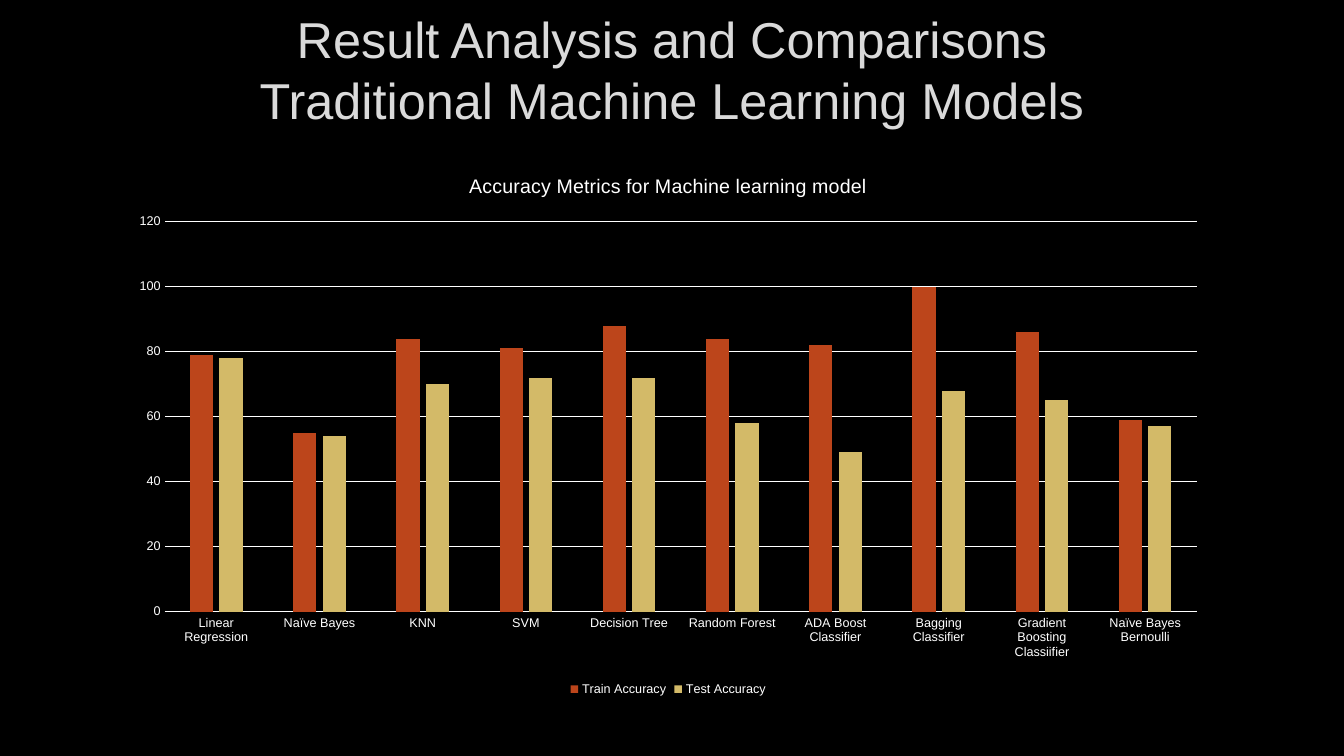
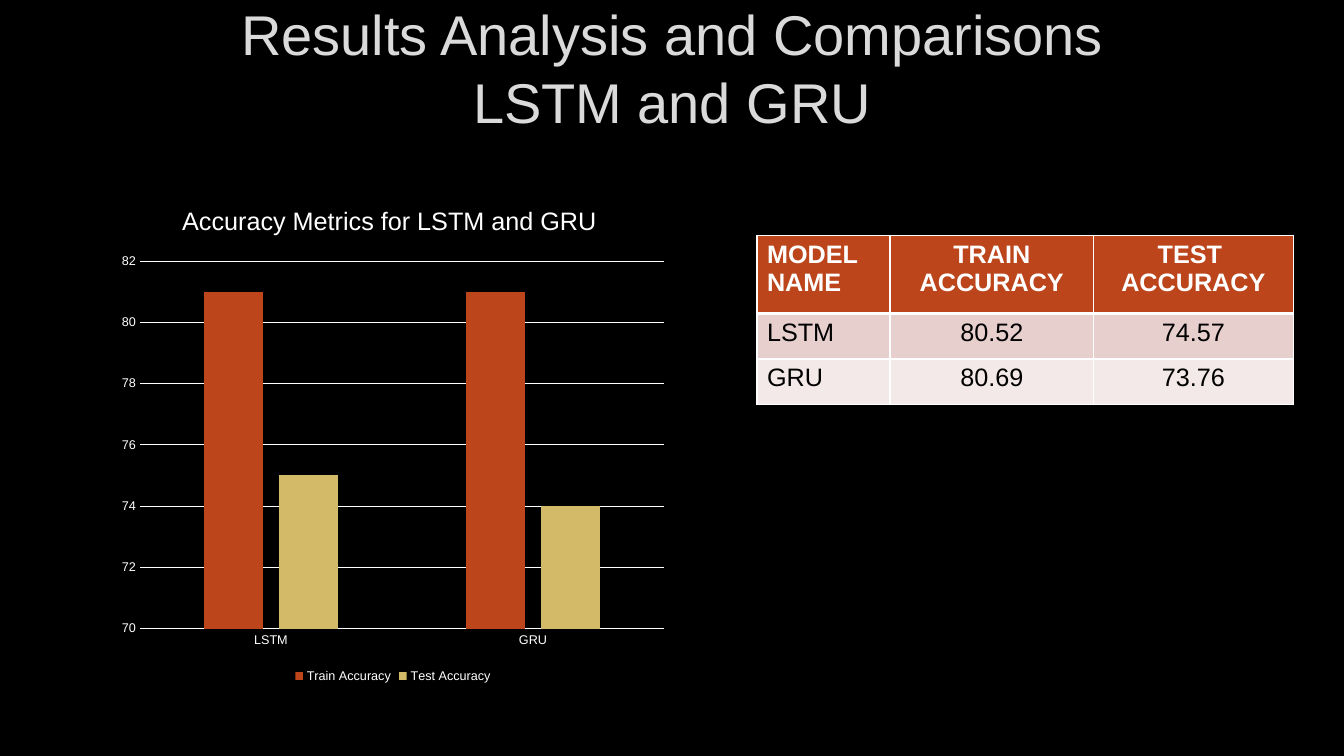
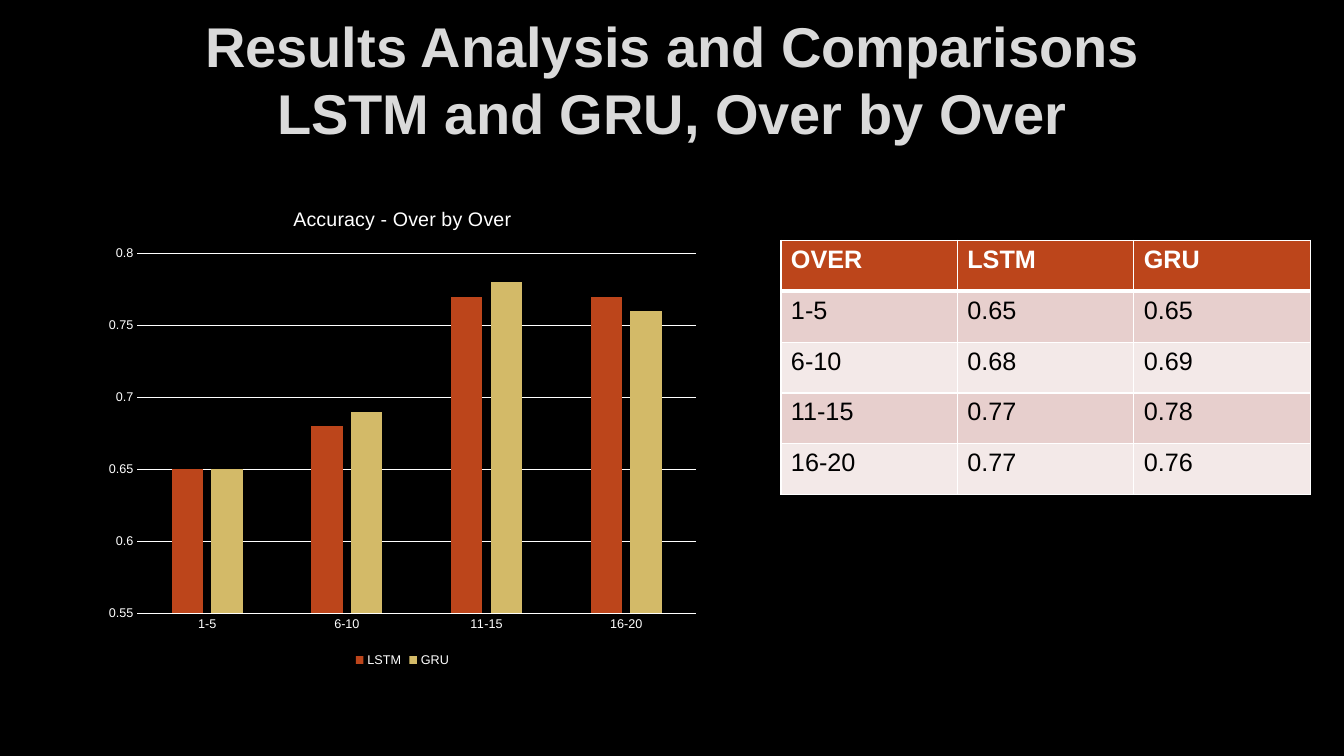
from lxml.etree import SubElement
from pptx import Presentation
from pptx.chart.data import CategoryChartData
from pptx.dml.color import RGBColor
from pptx.enum.chart import XL_CHART_TYPE, XL_LEGEND_POSITION, XL_TICK_MARK
from pptx.enum.text import MSO_ANCHOR, PP_ALIGN
from pptx.oxml.ns import qn
from pptx.util import Pt

BLACK = RGBColor(0x00, 0x00, 0x00)
WHITE = RGBColor(0xFF, 0xFF, 0xFF)
TITLE_GRAY = RGBColor(0xDA, 0xDA, 0xDA)
RUST = RGBColor(0xBC, 0x45, 0x1B)
SAND = RGBColor(0xD3, 0xBA, 0x68)
ROW_FILLS = (RGBColor(0xE7, 0xCF, 0xCD), RGBColor(0xF3, 0xE9, 0xE8))
FONT = "Arial"


def set_font(font, size, color, bold=False):
    font.name = FONT
    font.size = Pt(size)
    font.bold = bold
    font.color.rgb = color


def add_title(s, box, text, size, bold=False):
    tf = s.shapes.add_textbox(*map(Pt, box)).text_frame
    tf.word_wrap = True
    tf.vertical_anchor = MSO_ANCHOR.MIDDLE
    p = tf.paragraphs[0]
    p.text = text
    p.alignment = PP_ALIGN.CENTER
    set_font(p.font, size, TITLE_GRAY, bold)


def style_line(line):
    line.color.rgb = WHITE
    line.width = Pt(0.75)


def add_accuracy_chart(s, box, title, categories, series, scale, title_size=14):
    """Clustered columns; scale is the value axis minimum, maximum and step."""
    data = CategoryChartData()
    data.categories = categories
    for name, values in series.items():
        data.add_series(name, values)
    chart = s.shapes.add_chart(
        XL_CHART_TYPE.COLUMN_CLUSTERED, *map(Pt, box), data).chart
    set_font(chart.font, 10, WHITE)

    chart.has_title = True
    p = chart.chart_title.text_frame.paragraphs[0]
    p.text = title
    set_font(p.font, title_size, WHITE)

    chart.has_legend = True
    chart.legend.position = XL_LEGEND_POSITION.BOTTOM
    chart.legend.include_in_layout = False
    set_font(chart.legend.font, 9, WHITE)

    for axis in (chart.category_axis, chart.value_axis):
        axis.major_tick_mark = axis.minor_tick_mark = XL_TICK_MARK.NONE
        set_font(axis.tick_labels.font, 9, WHITE)
    style_line(chart.category_axis.format.line)
    axis = chart.value_axis
    axis.minimum_scale, axis.maximum_scale, axis.major_unit = scale
    axis.format.line.fill.background()
    style_line(axis.major_gridlines.format.line)

    plot = chart.plots[0]
    plot.gap_width = 219
    plot.overlap = -27
    plot.vary_by_categories = False
    for bars, color in zip(plot.series, (RUST, SAND)):
        bars.format.fill.solid()
        bars.format.fill.fore_color.rgb = color


def set_borders(cell, widths):
    """Draw white borders; widths maps each side (L, R, T, B) to points."""
    tc_pr = cell._tc.get_or_add_tcPr()
    for side, width in widths.items():
        ln = SubElement(tc_pr, qn(f"a:ln{side}"), w=str(Pt(width)))
        fill = SubElement(ln, qn("a:solidFill"))
        SubElement(fill, qn("a:srgbClr"), val=str(WHITE))


def add_table(s, left, top, widths, heights, rows, centered=()):
    """Header row over banded rows; centered lists the centred columns."""
    table = s.shapes.add_table(
        len(rows), len(widths), Pt(left), Pt(top),
        Pt(sum(widths)), Pt(sum(heights))).table
    for column, width in zip(table.columns, widths):
        column.width = Pt(width)
    for i, (height, texts) in enumerate(zip(heights, rows)):
        table.rows[i].height = Pt(height)
        header = i == 0
        for j, text in enumerate(texts):
            cell = table.cell(i, j)
            set_borders(cell, {"L": 1, "R": 1, "T": 3 if i == 1 else 1,
                               "B": 3 if header else 1})
            cell.fill.solid()
            cell.fill.fore_color.rgb = RUST if header else ROW_FILLS[(i - 1) % 2]
            cell.text_frame.text = text
            for p in cell.text_frame.paragraphs:
                if j in centered:
                    p.alignment = PP_ALIGN.CENTER
                set_font(p.font, 18, WHITE if header else BLACK, header)


def build_traditional_models(s):
    add_title(s, (0, 0, 960, 98),
              "Result Analysis and Comparisons\nTraditional Machine Learning Models", 36)
    add_accuracy_chart(
        s, (84, 109.4, 786.6, 391), "Accuracy Metrics for Machine learning model",
        ["Linear Regression", "Naïve Bayes", "KNN", "SVM", "Decision Tree",
         "Random Forest", "ADA Boost Classifier", "Bagging Classifier",
         "Gradient Boosting Classiifier", "Naïve Bayes Bernoulli"],
        {"Train Accuracy": [79, 55, 84, 81, 88, 84, 82, 100, 86, 59],
         "Test Accuracy": [78, 54, 70, 72, 72, 58, 49, 68, 65, 57]},
        (0, 120, 20))


def build_lstm_gru(s):
    add_title(s, (0, 8, 960, 80), "Results Analysis and Comparisons\nLSTM and GRU", 40)
    add_accuracy_chart(
        s, (79, 132, 403.4, 359), "Accuracy Metrics for LSTM and GRU ",
        ["LSTM", "GRU"],
        {"Train Accuracy": [81, 81], "Test Accuracy": [75, 74]}, (70, 82, 2), 18)
    add_table(s, 540.7, 168, (95, 145.5, 142.5), (56, 32.4, 32.4),
              [("MODEL NAME", "TRAIN ACCURACY", "TEST \nACCURACY"),
               ("LSTM", "80.52", "74.57"),
               ("GRU", "80.69", "73.76")],
              centered=(1, 2))


def build_over_by_over(s):
    overs = ["1-5", "6-10", "11-15", "16-20"]
    lstm, gru = [0.65, 0.68, 0.77, 0.77], [0.65, 0.69, 0.78, 0.76]
    add_title(s, (0, 8, 960, 96),
              "Results Analysis and Comparisons\nLSTM and GRU, Over by Over", 40, True)
    add_accuracy_chart(
        s, (69, 134, 437, 345.6), "Accuracy - Over by Over", overs,
        {"LSTM": lstm, "GRU": gru}, (0.55, 0.8, 0.05))
    rows = [(o, f"{a:.2f}", f"{b:.2f}") for o, a, b in zip(overs, lstm, gru)]
    add_table(s, 557.8, 171.8, [126] * 3, [36.3] * 5,
              [("OVER", "LSTM", "GRU"), *rows])


def main():
    prs = Presentation()
    prs.slide_width, prs.slide_height = Pt(960), Pt(540)
    background = prs.slide_master.background.fill
    background.solid()
    background.fore_color.rgb = BLACK
    for build in (build_traditional_models, build_lstm_gru, build_over_by_over):
        build(prs.slides.add_slide(prs.slide_layouts[6]))
    prs.save("out.pptx")


if __name__ == "__main__":
    main()
